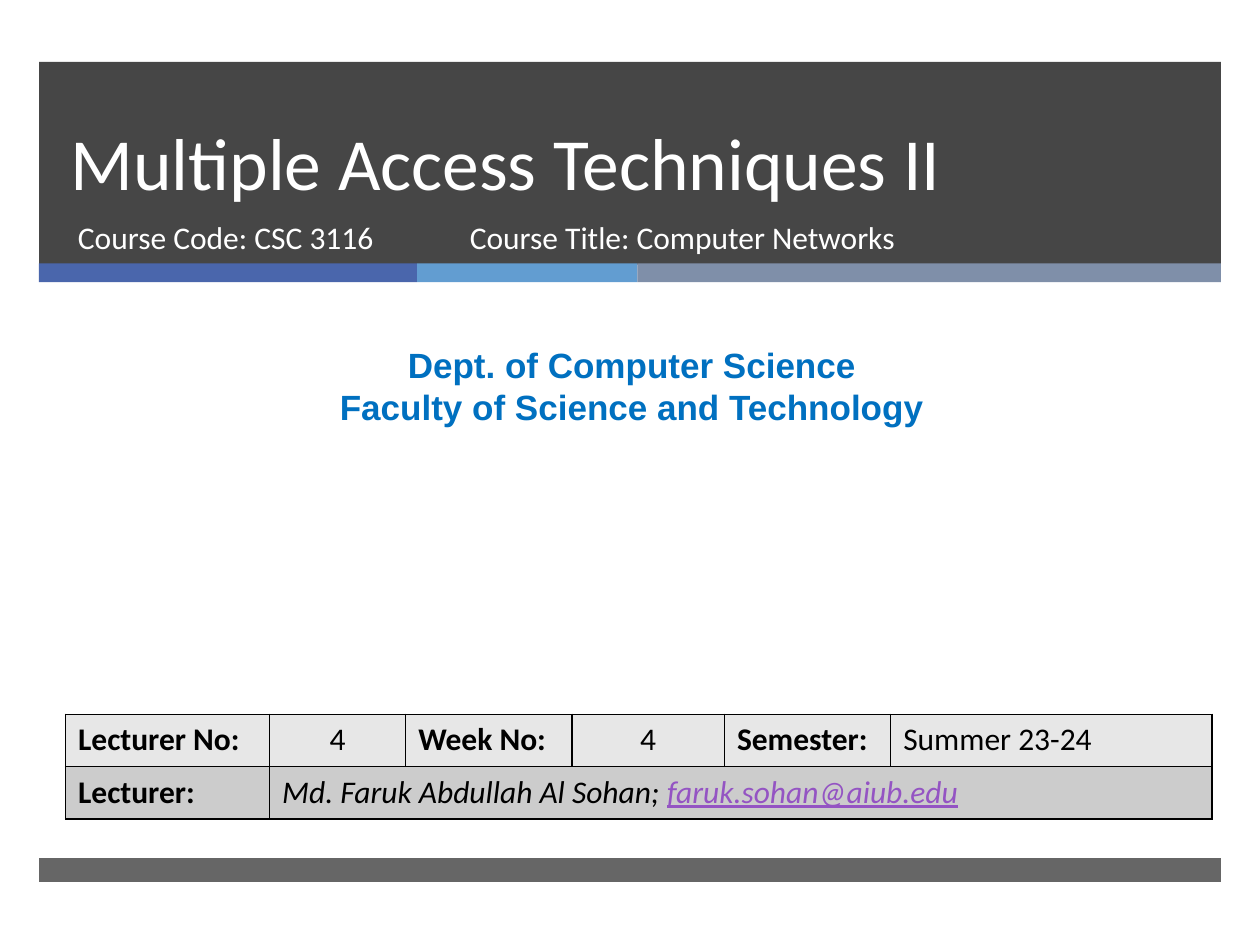
from collections import namedtuple
from dataclasses import dataclass

from lxml.etree import SubElement
from pptx import Presentation
from pptx.dml.color import RGBColor as Rgb
from pptx.enum.shapes import MSO_SHAPE as Shape
from pptx.enum.text import MSO_ANCHOR as Anchor, PP_ALIGN as Align
from pptx.oxml.ns import qn
from pptx.util import Inches, Pt

COLUMNS, ROWS = 1000, 750
UNIT = Inches(10) // COLUMNS


@dataclass(frozen=True)
class Theme:
    dark: str = "262626"
    stripes: tuple = ("4A66AC", "629DD1", "7F8FA9")
    light_text: str = "FFFFFF"
    dark_text: str = "000000"
    department: str = "0070C0"
    email: str = "9454C3"
    border: str = "000000"
    table_rows: tuple = ("E7E7E7", "CCCCCC")
    body_font: str = "Calibri"
    department_font: str = "Arial"
    title_size: int = 42
    title_spacing: int = 46
    department_size: int = 20
    body_size: int = 18


THEME = Theme()


class Box(namedtuple("Box", "left top width height")):
    def inner(self, left, top, width, height):
        return Box(self.left + left, self.top + top, width, height)

    def lengths(self):
        return [value * UNIT for value in self]


def add_text(paragraph, text, size=THEME.body_size, font=THEME.body_font,
             color=THEME.dark_text, bold=False, italic=False, underline=False,
             align=Align.LEFT, spacing=None):
    paragraph.alignment = align
    if spacing:
        paragraph.line_spacing = Pt(spacing)
    run = paragraph.add_run()
    run.text = text
    run.font.size, run.font.name = Pt(size), font
    run.font.color.rgb = Rgb.from_string(color)
    run.font.bold, run.font.italic, run.font.underline = bold, italic, underline


def add_text_box(slide, box, lines, anchor=Anchor.TOP, **style):
    frame = slide.shapes.add_textbox(*box.lengths()).text_frame
    frame.word_wrap = True
    frame.vertical_anchor = anchor
    for index, line in enumerate(lines):
        paragraph = frame.add_paragraph() if index else frame.paragraphs[0]
        add_text(paragraph, line, **style)


def add_band(slide, box, color, opacity=100):
    band = slide.shapes.add_shape(Shape.RECTANGLE, *box.lengths())
    band.shadow.inherit = False
    band.line.fill.background()
    band.fill.solid()
    band.fill.fore_color.rgb = Rgb.from_string(color)
    if opacity < 100:
        fill_color = next(band.fill._xPr.iter(qn("a:srgbClr")))
        SubElement(fill_color, qn("a:alpha"), val=str(opacity * 1000))


def style_cell(cell, fill):
    properties = cell._tc.get_or_add_tcPr()
    for side in ("a:lnL", "a:lnR", "a:lnT", "a:lnB"):
        border = SubElement(properties, qn(side), w=str(Pt(1)))
        SubElement(SubElement(border, qn("a:solidFill")), qn("a:srgbClr"), val=THEME.border)
    cell.fill.solid()
    cell.fill.fore_color.rgb = Rgb.from_string(fill)


def add_banner(slide, box):
    add_band(slide, box.inner(0, 0, box.width, 161), THEME.dark, opacity=85)
    left = 0
    for width, color in zip((300, 175, 463), THEME.stripes):
        add_band(slide, box.inner(left, 160, width, 15), color)
        left += width
    add_text_box(slide, box.inner(15, 0, 854, 119), ["Multiple Access Techniques II"],
                 anchor=Anchor.BOTTOM, size=THEME.title_size,
                 spacing=THEME.title_spacing, color=THEME.light_text)
    for left, width, course in ((21, 305, "Course Code: CSC 3116"),
                                (332, 455, "Course Title: Computer Networks")):
        add_text_box(slide, box.inner(left, 119, width, 53), [course], color=THEME.light_text)


def add_department(slide, box):
    add_text_box(slide, box,
                 ["Dept. of Computer Science", "Faculty of Science and Technology"],
                 size=THEME.department_size, font=THEME.department_font,
                 color=THEME.department, bold=True, align=Align.CENTER)


def add_lecture_table(slide, box):
    widths = (162, 108, 132, 121, 132, 255)
    table = slide.shapes.add_table(2, len(widths), *box.lengths()).table
    for column, width in zip(table.columns, widths):
        column.width = width * UNIT
    for row, fill in zip(table.rows, THEME.table_rows):
        for cell in row.cells:
            style_cell(cell, fill)
    table.cell(1, 1).merge(table.cell(1, len(widths) - 1))

    details = ("Lecturer No:", "4", "Week No:", "4", "Semester:", "Summer 23-24")
    for index, detail in enumerate(details):
        add_text(table.cell(0, index).text_frame.paragraphs[0], detail,
                 bold=detail.endswith(":"),
                 align=Align.CENTER if detail.isdigit() else Align.LEFT)
    add_text(table.cell(1, 0).text_frame.paragraphs[0], "Lecturer:", bold=True)
    lecturer = table.cell(1, 1).text_frame.paragraphs[0]
    add_text(lecturer, "Md. Faruk Abdullah Al Sohan; ", italic=True)
    add_text(lecturer, "faruk.sohan@aiub.edu", italic=True, underline=True, color=THEME.email)


def main():
    presentation = Presentation()
    presentation.slide_width = COLUMNS * UNIT
    presentation.slide_height = ROWS * UNIT
    slide = presentation.slides.add_slide(presentation.slide_layouts[6])
    add_banner(slide, Box(31, 49, 938, 175))
    add_band(slide, Box(31, 681, 938, 19), THEME.dark, opacity=70)
    add_department(slide, Box(8, 268, 987, 77))
    add_lecture_table(slide, Box(52, 567, 910, 83))
    presentation.save("out.pptx")


if __name__ == "__main__":
    main()
